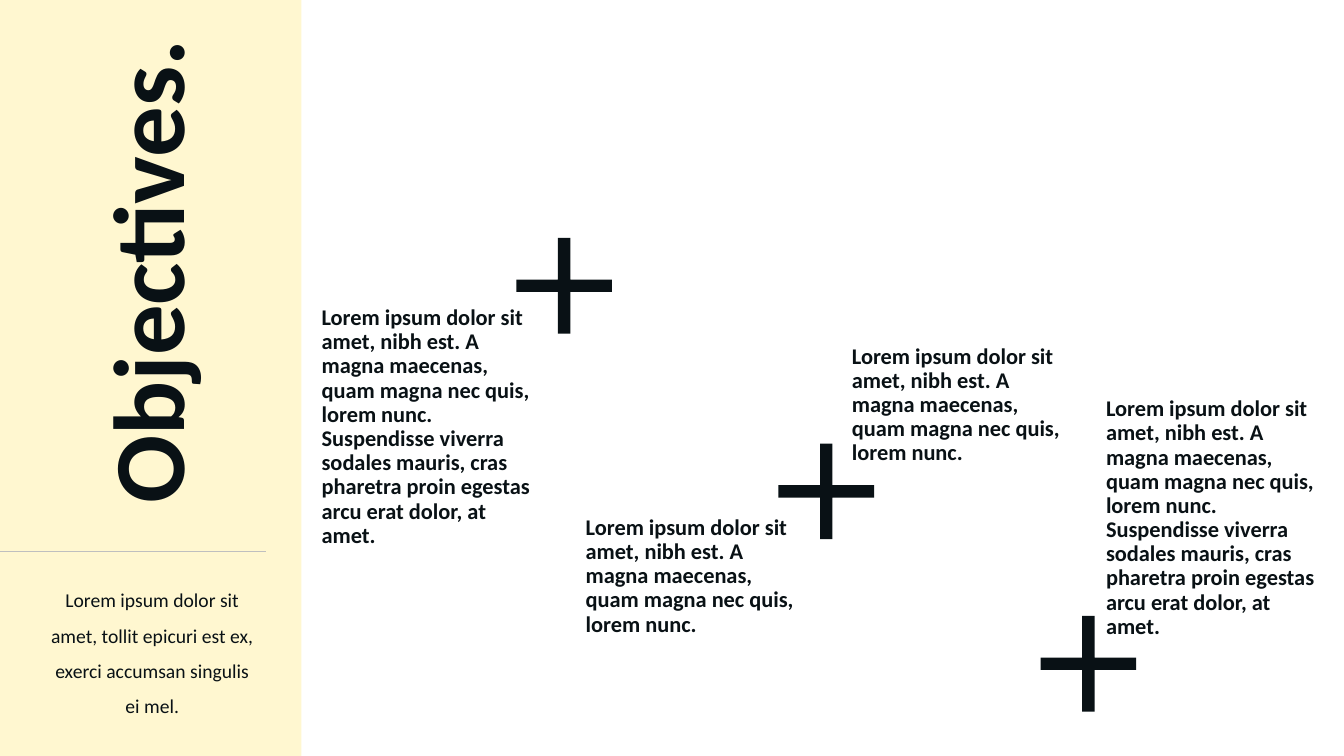
from pptx import Presentation
from pptx.dml.color import RGBColor as Rgb
from pptx.enum.shapes import MSO_CONNECTOR as Conn, MSO_SHAPE as Kind
from pptx.enum.text import MSO_ANCHOR as Anchor, MSO_AUTO_SIZE as Fit, PP_ALIGN as Align
from pptx.oxml.ns import qn
from pptx.util import Pt
from lxml import etree

PX = 9144  # one px is a hundredth of an inch
HUES = {"cream": "FFF7D0", "white": "FFFFFF", "ink": "091115", "rule": "BFBFBF"}

SHORT = "Lorem ipsum dolor sit amet, nibh est. A magna maecenas, quam magna nec quis, lorem nunc."
LONG = SHORT + " Suspendisse viverra sodales mauris, cras pharetra proin egestas arcu erat dolor, at amet."
INTRO = "Lorem ipsum dolor sit amet, tollit epicuri est ex, exerci accumsan singulis ei mel."

# Left, top, height, anchor and wording of each objective
GOALS = [
    (314, 299, 430, Anchor.TOP, LONG),
    (576, 507, 222, Anchor.TOP, SHORT),
    (840, 29, 438, Anchor.BOTTOM, SHORT),
    (1092, 29, 610, Anchor.BOTTOM, LONG),
]
GOAL_W = 224
PLUS_TOPS = [219, 423, 594]
PLUS_LEFT, PLUS_STEP, PLUS_SIZE = 495, 260, 129


def hue(name):
    return Rgb.from_string(HUES[name])


def apply(item, values):
    for key, value in values.items():
        setattr(item, key, value)


def write(shape, text, frame, para, font):
    body = shape.text_frame
    body.text = text
    apply(body, {"word_wrap": True, "auto_size": Fit.NONE, **frame})
    line = body.paragraphs[0]
    apply(line, para)
    run = line.runs[0]
    apply(run.font, {"name": "Calibri", **font})
    run.font.color.rgb = hue("ink")


def add_text(slide, box, *style):
    shape = slide.shapes.add_textbox(*(n * PX for n in box))
    write(shape, *style)


def add_solid(slide, kind, box, name):
    shape = slide.shapes.add_shape(kind, *(n * PX for n in box))
    shape.shadow.inherit = False
    shape.fill.solid()
    shape.fill.fore_color.rgb = hue(name)
    shape.line.fill.background()
    return shape


def add_rule(slide, left, top, right):
    line = slide.shapes.add_connector(Conn.STRAIGHT, left * PX, top * PX, right * PX, top * PX)
    line.line.color.rgb = hue("rule")
    line.line.width = Pt(1)
    etree.SubElement(line._element.spPr, qn("a:effectLst"))


def set_title(slide, text):
    title = slide.shapes.title
    apply(title, {"left": -98 * PX, "top": 166 * PX, "width": 498 * PX,
                  "height": 224 * PX, "rotation": 270})
    write(title, text, {"vertical_anchor": Anchor.MIDDLE},
          {"alignment": Align.RIGHT, "line_spacing": 0.9},
          {"size": Pt(72), "bold": True})


def add_goal(slide, left, top, height, anchor, text):
    frame = {"vertical_anchor": anchor, "margin_left": 5 * PX, "margin_top": 5 * PX,
             "margin_right": 0, "margin_bottom": 5 * PX}
    add_text(slide, (left, top, GOAL_W, height), text, frame,
             {"line_spacing": 0.9, "space_before": Pt(10)},
             {"size": Pt(16), "bold": True})


def main():
    deck = Presentation()
    apply(deck, {"slide_width": 1333 * PX, "slide_height": 750 * PX})
    slide = deck.slides.add_slide(deck.slide_layouts[5])

    # Cream sidebar beside a white panel
    slide.background.fill.solid()
    slide.background.fill.fore_color.rgb = hue("cream")
    add_solid(slide, Kind.RECTANGLE, (299, 0, 1034, 750), "white")
    add_rule(slide, 0, 547, 264)

    # Sidebar wording
    set_title(slide, "Objectives.")
    add_text(slide, (39, 567, 224, 163), INTRO, {},
             {"alignment": Align.CENTER, "line_spacing": 1.5, "space_before": Pt(10)},
             {"size": Pt(14)})

    # Objectives and the plus signs between them
    for goal in GOALS:
        add_goal(slide, *goal)
    for col, top in enumerate(PLUS_TOPS):
        box = (PLUS_LEFT + col * PLUS_STEP, top, PLUS_SIZE, PLUS_SIZE)
        plus = add_solid(slide, Kind.MATH_PLUS, box, "ink")
        plus.adjustments[0] = 0.095

    deck.save("out.pptx")


if __name__ == "__main__":
    main()
